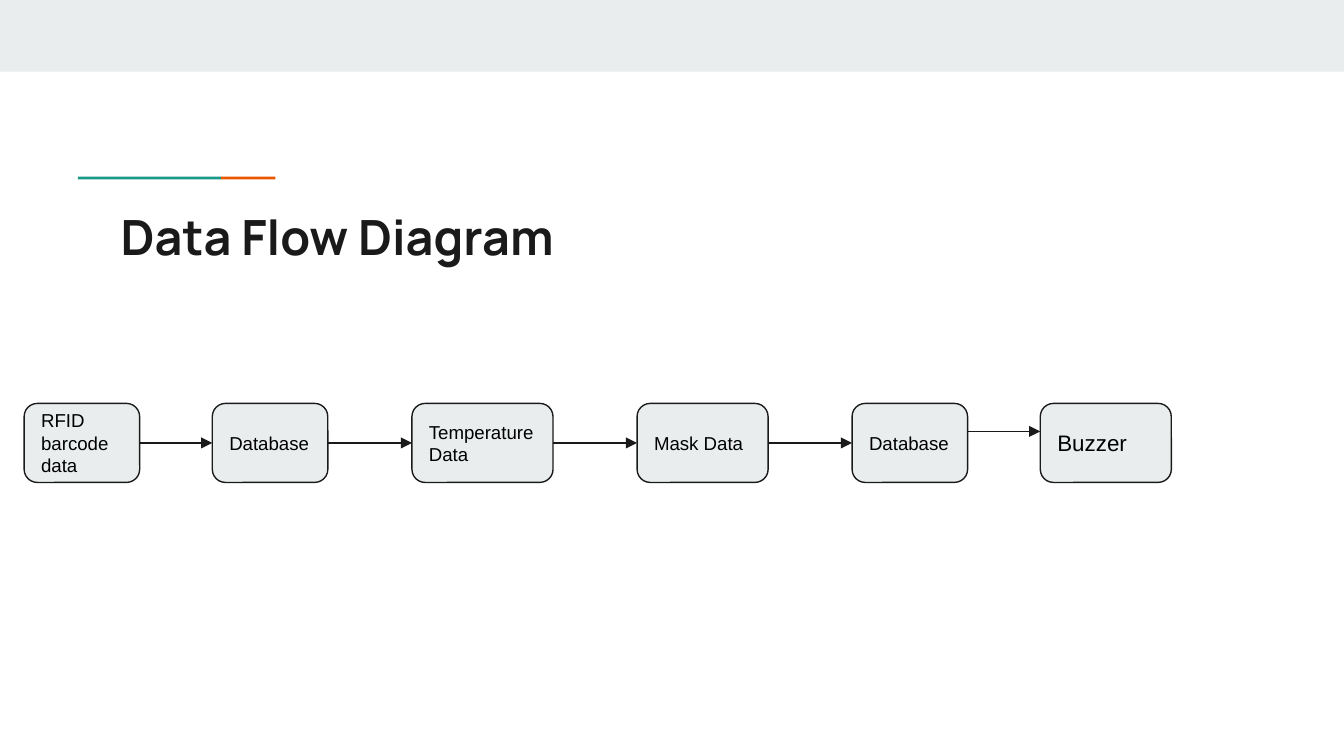
from itertools import pairwise
from lxml import etree
from pptx import Presentation
from pptx.dml.color import RGBColor
from pptx.enum.shapes import MSO_CONNECTOR as Connector, MSO_SHAPE as Shape
from pptx.enum.text import MSO_ANCHOR as Anchor, PP_ALIGN as Align
from pptx.oxml.ns import qn
from pptx.util import Inches, Pt

COLORS = {"ink": "1A1A1A", "text": "000000", "panel": "E9EDEE",
          "teal": "1A9988", "orange": "EB5600"}
CELL = Inches(0.1)
COLUMNS, ROWS = 100, 56.25
RIGHT, LEFT = 3, 1


def add_block(kind, column, row, columns, rows, color):
    block = slide.shapes.add_shape(kind, *(int(n * CELL) for n in (column, row, columns, rows)))
    block.shadow.inherit = False
    block.fill.solid()
    block.fill.fore_color.rgb = RGBColor.from_string(COLORS[color])
    block.line.fill.background()
    return block


def write(frame, runs, font_name, color, bold=False):
    frame.word_wrap = True
    frame.margin_left = frame.margin_right = frame.margin_top = frame.margin_bottom = CELL
    paragraph = frame.paragraphs[0]
    paragraph.alignment = Align.LEFT
    for words, size in runs:
        run = paragraph.add_run()
        run.text = words
        run.font.name = font_name
        run.font.size = Pt(size)
        run.font.bold = bold
        run.font.color.rgb = RGBColor.from_string(COLORS[color])


prs = Presentation()
prs.slide_width, prs.slide_height = int(COLUMNS * CELL), int(ROWS * CELL)
slide = prs.slides.add_slide(prs.slide_layouts[6])

add_block(Shape.RECTANGLE, 0, 0, COLUMNS, 5.33, "panel")
add_block(Shape.RECTANGLE, 5.8, 13.15, 10.65, 0.2, "teal")
add_block(Shape.RECTANGLE, 16.45, 13.15, 4.05, 0.2, "orange")

title = slide.shapes.add_textbox(*(int(n * CELL) for n in (8, 14.4, 84.1, 5.9)))
write(title.text_frame, [("Data Flow Diagram", 26)], "Manrope", "ink", bold=True)

stages = [
    (8.6, 5.4, [("RFID barcode data", 10)]),
    (8.6, 6.25, [("Database", 10)]),
    (10.5, 6.25, [("Temperature", 10), (" ", 8), ("Data", 10)]),
    (9.75, 6.25, [("Mask Data", 10)]),
    (8.6, 5.4, [("Database", 10)]),
    (9.75, 0, [("Buzzer", 12)]),
]
flow = []
column = 1.8
for width, gap, runs in stages:
    stage = add_block(Shape.ROUNDED_RECTANGLE, column, 30.02, width, 5.88, "panel")
    stage.line.color.rgb = RGBColor.from_string(COLORS["ink"])
    stage.line.width = Pt(0.75)
    stage.text_frame.vertical_anchor = Anchor.MIDDLE
    write(stage.text_frame, runs, "Arial", "text")
    flow.append(stage)
    column += width + gap

buzzer_row = int(32.1 * CELL)
for source, target in pairwise(flow):
    arrow = slide.shapes.add_connector(
        Connector.STRAIGHT, source.left + source.width, buzzer_row, target.left, buzzer_row)
    if target is not flow[-1]:
        arrow.begin_connect(source, RIGHT)
        arrow.end_connect(target, LEFT)
    arrow.line.color.rgb = RGBColor.from_string(COLORS["ink"])
    arrow.line.width = Pt(0.75)
    properties = arrow.element.spPr
    etree.SubElement(properties.find(qn("a:ln")), qn("a:tailEnd"), type="triangle")
    etree.SubElement(properties, qn("a:effectLst"))

prs.save("out.pptx")
